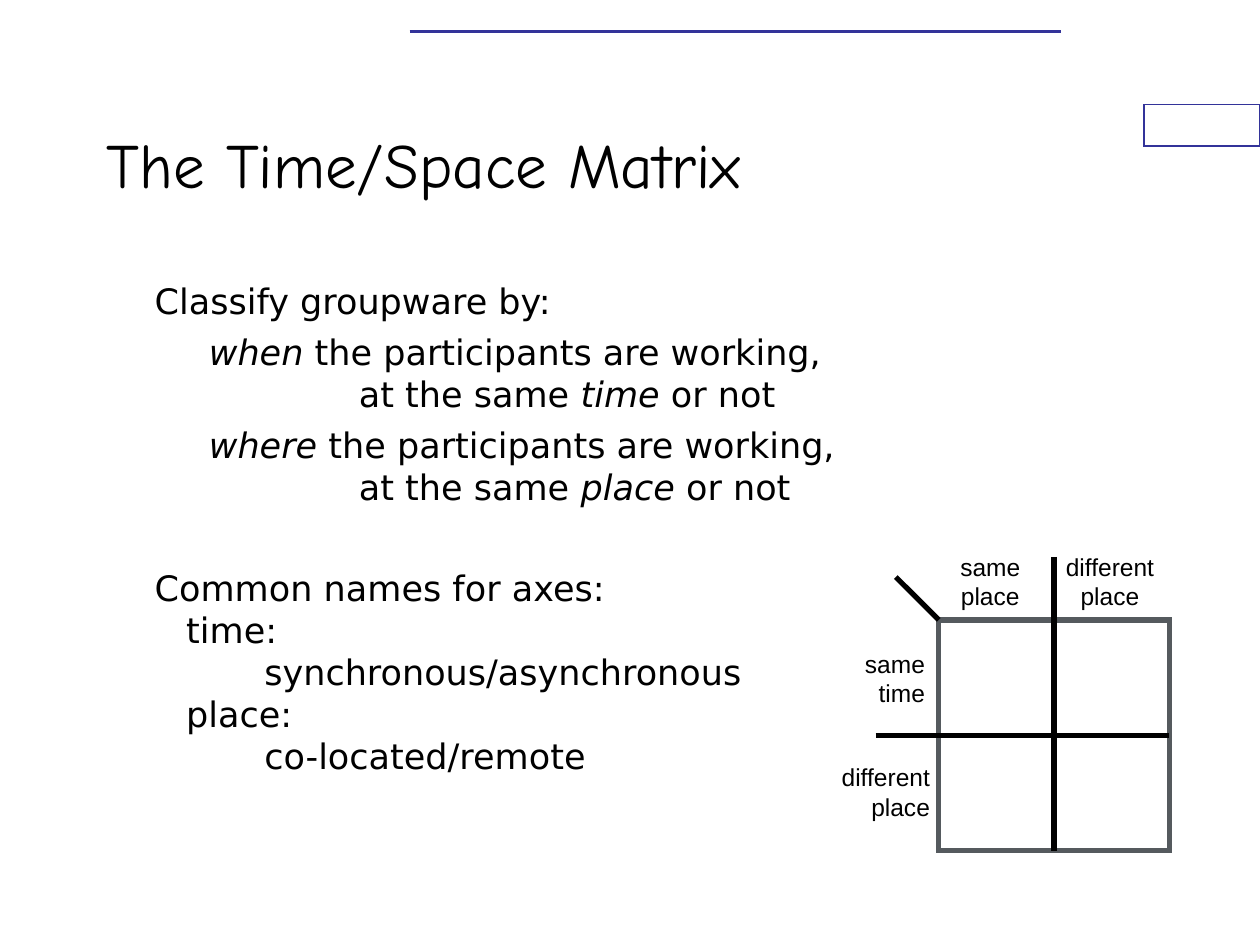
from dataclasses import dataclass

from pptx import Presentation
from pptx.dml.color import RGBColor
from pptx.enum.shapes import MSO_CONNECTOR as Connector, MSO_SHAPE as Shape
from pptx.enum.text import MSO_ANCHOR as Anchor, MSO_AUTO_SIZE as AutoSize, PP_ALIGN as Align
from pptx.oxml.ns import qn
from pptx.util import Inches, Pt
from lxml.etree import SubElement

COLOURS = {"ink": "000000", "paper": "FFFFFF", "accent": "333399", "frame": "555A5E"}


@dataclass
class Span:
    text: str
    italic: bool = False


@dataclass
class Line:
    spans: list[Span]
    indent: float
    space_before: float = 0


@dataclass
class Label:
    text: str
    left: float
    top: float
    width: float
    align: Align


@dataclass
class Axis:
    start: tuple[float, float]
    end: tuple[float, float]
    site: int | None = None


def question(word: str, topic: str) -> list[Line]:
    return [
        Line([Span(word, True), Span(" the participants are working,")], 0.81, 5),
        Line([Span("at the same "), Span(topic, True), Span(" or not")], 2),
    ]


BODY = [
    Line([Span("Classify groupware by:")], 0.38, 5),
    *question("when", "time"),
    *question("where", "place"),
    Line([Span("Common names for axes:")], 0.38, 34),
    Line([Span("time:")], 0.63),
    Line([Span("synchronous/asynchronous")], 1.25),
    Line([Span("place:")], 0.63),
    Line([Span("co-located/remote")], 1.25),
]

LEFT, TOP, SIDE, OVERHANG = 7.45, 4.92, 1.83, 0.5
MIDDLE_X, MIDDLE_Y = LEFT + SIDE / 2, TOP + SIDE / 2
AXES = [
    Axis((LEFT - OVERHANG, MIDDLE_Y), (LEFT + SIDE, MIDDLE_Y), 3),
    Axis((MIDDLE_X, TOP - OVERHANG), (MIDDLE_X, TOP + SIDE), 2),
    Axis((LEFT, TOP), (7.11, 4.58)),
]
LABELS = [
    Label("different\nplace", 8.31, 4.33, 1, Align.CENTER),
    Label("same\nplace", 7.46, 4.33, 0.8, Align.CENTER),
    Label("same\ntime", 6.64, 5.1, 0.8, Align.RIGHT),
    Label("different\nplace", 6.48, 6, 1, Align.RIGHT),
]


def colour(name: str) -> RGBColor:
    return RGBColor.from_string(COLOURS[name])


def set_font(para, face: str, size: float) -> None:
    para.font.name = face
    para.font.size = Pt(size)
    para.font.color.rgb = colour("ink")


def set_line(shape, outline: str, weight: float) -> None:
    shape.line.color.rgb = colour(outline)
    shape.line.width = Pt(weight)
    SubElement(shape.line._get_or_add_ln(), qn("a:miter"), lim="800000")


def add_frame(page, left: float, top: float, width: float, height: float,
              outline: str, weight: float):
    box = page.shapes.add_shape(
        Shape.RECTANGLE, Inches(left), Inches(top), Inches(width), Inches(height))
    box.shadow.inherit = False
    box.fill.solid()
    box.fill.fore_color.rgb = colour("paper")
    set_line(box, outline, weight)
    return box


def add_line(page, axis: Axis, outline: str, weight: float):
    line = page.shapes.add_connector(
        Connector.STRAIGHT, *map(Inches, axis.start + axis.end))
    set_line(line, outline, weight)
    SubElement(line._element.spPr, qn("a:effectLst"))
    return line


def add_text_frame(page, left: float, top: float, width: float, height: float):
    box = page.shapes.add_textbox(
        Inches(left), Inches(top), Inches(width), Inches(height))
    box.text_frame.word_wrap = True
    return box.text_frame


def add_title(page, text: str) -> None:
    frame = add_text_frame(page, 0.75, 0.67, 7.5, 1.25)
    frame.vertical_anchor = Anchor.MIDDLE
    para = frame.paragraphs[0]
    para.text = text
    set_font(para, "Comic Neue", 36)


def add_body(page, lines: list[Line]) -> None:
    frame = add_text_frame(page, 0.75, 2.17, 8.5, 4.5)
    for number, line in enumerate(lines):
        para = frame.add_paragraph() if number else frame.paragraphs[0]
        para.space_before = Pt(line.space_before)
        para._p.get_or_add_pPr().set("marL", str(Inches(line.indent)))
        set_font(para, "DejaVu Sans", 20)
        for span in line.spans:
            run = para.add_run()
            run.text = span.text
            run.font.italic = span.italic


def add_label(page, label: Label) -> None:
    frame = add_text_frame(page, label.left, label.top, label.width, 0.57)
    frame.auto_size = AutoSize.NONE
    para = frame.paragraphs[0]
    para.text = label.text
    para.alignment = label.align
    set_font(para, "Arial", 14)


def main() -> None:
    deck = Presentation()
    deck.slide_width, deck.slide_height = Inches(10), Inches(7.5)
    page = deck.slides.add_slide(deck.slide_layouts[6])

    add_frame(page, 9.08, 0.83, 0.92, 0.33, "accent", 0.75)
    add_line(page, Axis((3.25, 0.25), (8.42, 0.25)), "accent", 1.25)
    add_title(page, "The Time/Space Matrix")
    add_body(page, BODY)

    matrix = add_frame(page, LEFT, TOP, SIDE, SIDE, "frame", 3)
    for axis in AXES:
        line = add_line(page, axis, "ink", 3)
        if axis.site is not None:
            line.end_connect(matrix, axis.site)
    for label in LABELS:
        add_label(page, label)

    deck.save("out.pptx")


if __name__ == "__main__":
    main()
